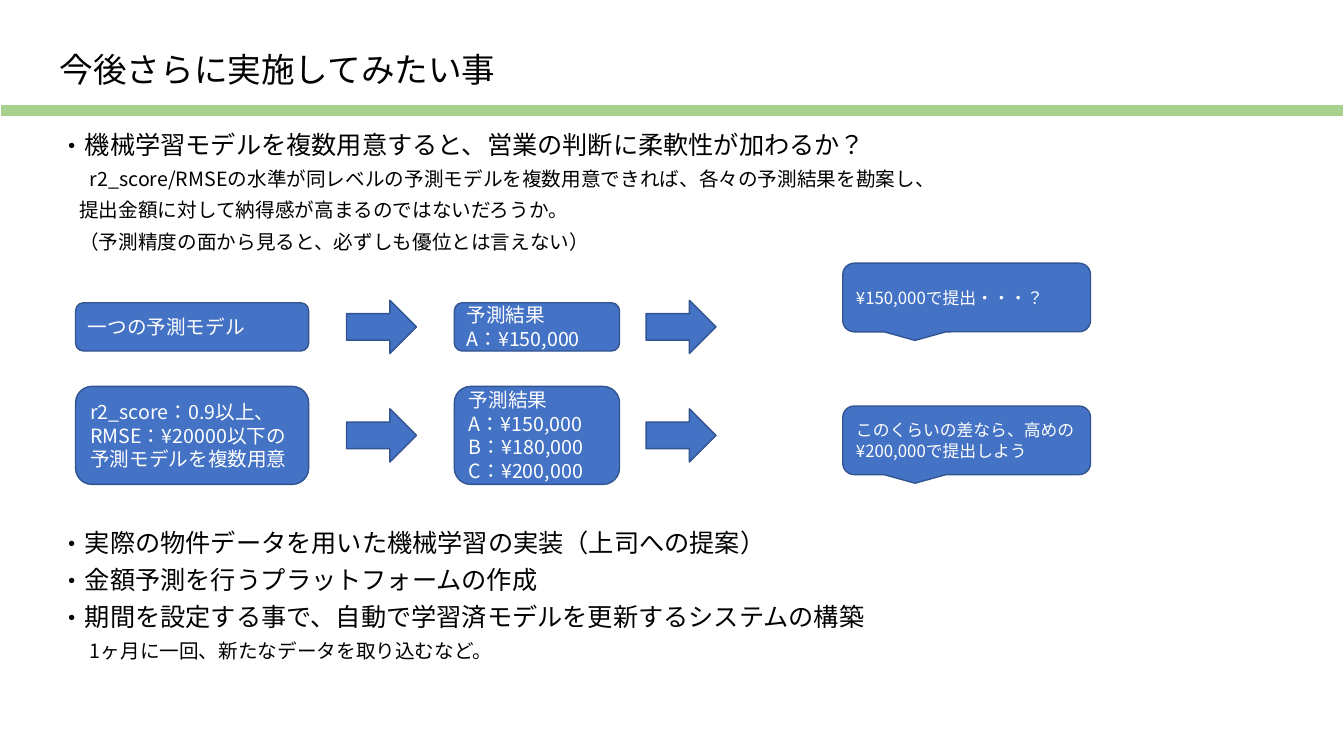
from pptx import Presentation
from pptx import util as u
from pptx.dml.color import RGBColor
from pptx.enum import shapes, text
from pptx.oxml import parse_xml
from pptx.oxml.ns import nsdecls, qn

COLORS = {"text": "000000", "bar": "A9D18E", "bar_edge": "FFFFFF",
          "box": "4472C4", "box_edge": "325491", "box_text": "FFFFFF"}
FONT = "Noto Sans CJK JP"
GEOMETRY = shapes.MSO_SHAPE
HEADING, DETAIL = 18, 14
LATIN_START = 7.5  # extra first-line indent of details that open with Latin text

# Body lines: wording, size, first-line indent, space before
BODY = [
    ("機械学習モデルを複数用意すると、営業の判断に柔軟性が加わるか？", HEADING, -18, 0),
    ("r2_score/RMSEの水準が同レベルの予測モデルを複数用意できれば、各々の予測結果を勘案し、",
     DETAIL, LATIN_START, 8),
    ("提出金額に対して納得感が高まるのではないだろうか。", DETAIL, 0, 8),
    ("（予測精度の面から見ると、必ずしも優位とは言えない）", DETAIL, 0, 8),
    ("実際の物件データを用いた機械学習の実装（上司への提案）", HEADING, -18, 199),
    ("金額予測を行うプラットフォームの作成", HEADING, -18, 8),
    ("期間を設定する事で、自動で学習済モデルを更新するシステムの構築", HEADING, -18, 8),
    ("1ヶ月に一回、新たなデータを取り込むなど。", DETAIL, LATIN_START, 8),
]

# Flow rows: middle, box height, callout middle, model, forecast, decision
FLOWS = [
    (233.5, 34.5, 212.5, ["一つの予測モデル"], ["予測結果", "A：¥150,000"],
     ["¥150,000で提出・・・？"]),
    (311, 70, 314.5, ["r2_score：0.9以上、", "RMSE：¥20000以下の", "予測モデルを複数用意"],
     ["予測結果", "A：¥150,000", "B：¥180,000", "C：¥200,000"],
     ["このくらいの差なら、高めの¥200,000で提出しよう"]),
]


def rgb(name):
    return RGBColor.from_string(COLORS[name])


def add_run(paragraph, wording, size, color):
    run = paragraph.add_run()
    run.text = wording
    run.font.size = u.Pt(size)
    run.font.name = FONT
    run.font.color.rgb = rgb(color)
    run.font.language_id = 1041  # Japanese
    run.font._rPr.find(qn("a:latin")).addnext(
        parse_xml(f'<a:ea {nsdecls("a")} typeface="{FONT}"/>'))


def paragraphs(frame, count):
    return [frame.paragraphs[0]] + [frame.add_paragraph() for _ in range(count - 1)]


def place(part, left, top, width, height):
    part.left, part.top = u.Pt(left), u.Pt(top)
    part.width, part.height = u.Pt(width), u.Pt(height)
    frame = part.text_frame
    frame.word_wrap = True
    frame.auto_size = text.MSO_AUTO_SIZE.NONE
    frame.vertical_anchor = text.MSO_ANCHOR.TOP
    return frame


def add_block(slide, kind, left, top, width, height, fill, edge, weight):
    block = slide.shapes.add_shape(kind, u.Pt(left), u.Pt(top), u.Pt(width), u.Pt(height))
    block.shadow.inherit = False
    block.fill.solid()
    block.fill.fore_color.rgb = rgb(fill)
    block.line.color.rgb = rgb(edge)
    block.line.width = u.Pt(weight)
    return block


def add_flow_block(slide, kind, left, middle, width, height, lines=(), size=DETAIL):
    block = add_block(slide, kind, left, middle - height / 2, width, height,
                      "box", "box_edge", 1)
    frame = block.text_frame
    frame.word_wrap = True
    frame.vertical_anchor = text.MSO_ANCHOR.MIDDLE
    if lines:
        for paragraph, line in zip(paragraphs(frame, len(lines)), lines):
            paragraph.alignment = text.PP_ALIGN.LEFT
            add_run(paragraph, line, size, "box_text")


def add_header(slide, left, top, width, height):
    frame = place(slide.shapes.title, left, top, width, height)
    heading = frame.paragraphs[0]
    heading.alignment = text.PP_ALIGN.LEFT
    heading.line_spacing = 0.9
    add_run(heading, "今後さらに実施してみたい事", 24, "text")
    # Green rule under the title
    add_block(slide, GEOMETRY.RECTANGLE, 0, top + 40.5, 960, 8, "bar", "bar_edge", 0.75)


def add_body(slide, left, top, width, height):
    frame = place(slide.placeholders[1], left, top, width, height)
    for paragraph, (wording, size, indent, before) in zip(
            paragraphs(frame, len(BODY)), BODY):
        is_heading = size == HEADING
        props = paragraph._p.get_or_add_pPr()
        props.set("marL", str(u.Pt(18 if is_heading else 14)))
        props.set("indent", str(u.Pt(indent)))
        bullet = '<a:buChar {} char="・"/>' if is_heading else "<a:buNone {}/>"
        if is_heading:
            props.append(parse_xml(f'<a:buFont {nsdecls("a")} typeface="{FONT}"/>'))
        props.append(parse_xml(bullet.format(nsdecls("a"))))
        paragraph.alignment = text.PP_ALIGN.LEFT
        paragraph.line_spacing = 0.85
        paragraph.space_before = u.Pt(before)
        add_run(paragraph, wording, size, "text")


def add_flow(slide, left, middle, height, callout_middle, model, forecast, decision):
    box, arrow = GEOMETRY.ROUNDED_RECTANGLE, GEOMETRY.RIGHT_ARROW
    add_flow_block(slide, box, left, middle, 166.5, height, model)
    add_flow_block(slide, box, left + 270.5, middle, 118, height, forecast)
    for offset in (193.5, 407.5):
        add_flow_block(slide, arrow, left + offset, middle, 50, 38)
    add_flow_block(slide, GEOMETRY.ROUNDED_RECTANGULAR_CALLOUT, left + 548,
                   callout_middle, 177, 49, decision, 12)


def main():
    deck = Presentation()
    deck.slide_width, deck.slide_height = u.Pt(960), u.Pt(540)
    slide = deck.slides.add_slide(deck.slide_layouts[1])
    add_header(slide, 35.5, 34.5, 440, 43)
    add_body(slide, 35.5, 92, 684, 424)
    for flow in FLOWS:
        add_flow(slide, 54, *flow)
    deck.save("out.pptx")


if __name__ == "__main__":
    main()
